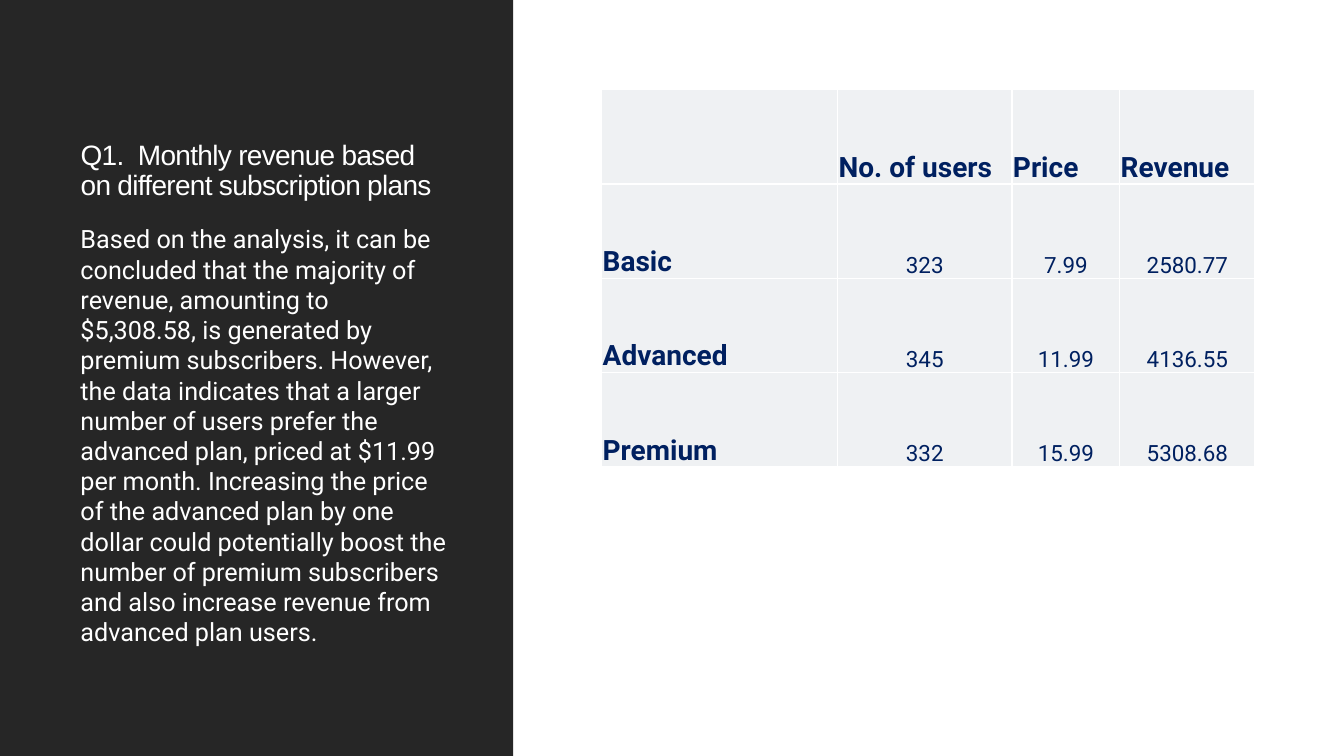
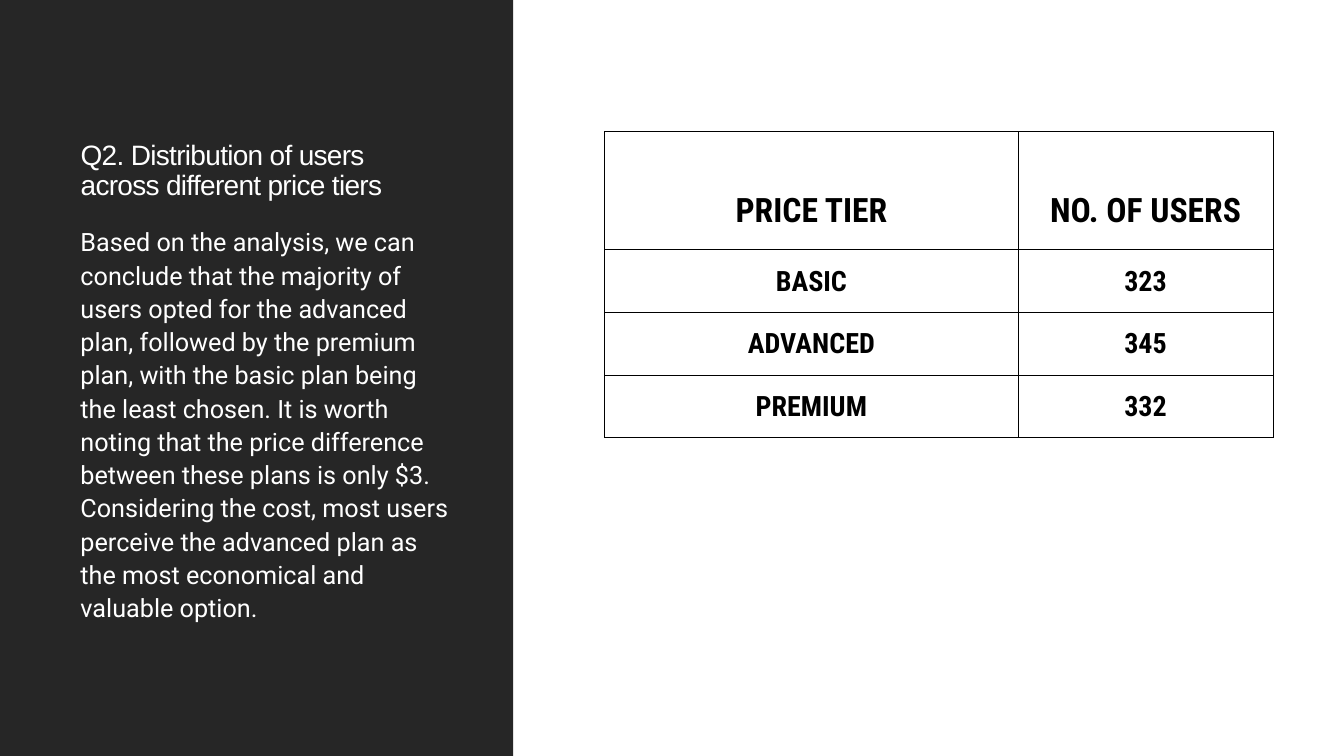
"""Build two slides on subscription plans, each with a side panel and a table."""
from dataclasses import dataclass

from lxml.etree import SubElement as Sub
from pptx import Presentation
from pptx.dml.color import RGBColor as RGB
from pptx.enum.shapes import MSO_SHAPE as Shape
from pptx.enum.text import MSO_ANCHOR as Anchor, MSO_AUTO_SIZE as Fit, PP_ALIGN as Align
from pptx.oxml.ns import qn
from pptx.util import Pt


@dataclass(frozen=True)
class Theme:
    panel: RGB = RGB.from_string("262626")
    white: RGB = RGB.from_string("FFFFFF")
    black: RGB = RGB.from_string("000000")
    navy: RGB = RGB.from_string("002060")
    pale: RGB = RGB.from_string("EFF1F3")
    title: int = 20
    body: int = 18
    head: int = 24
    label: int = 20
    value: int = 16


theme = Theme()


def style(para, size, face, color, bold=False, align=Align.LEFT, space=1.0):
    """Format one paragraph and its runs."""
    para.alignment = align
    para.line_spacing = space
    for font in [para.font] + [run.font for run in para.runs]:
        for key, val in dict(size=Pt(size), name=face, bold=bold).items():
            setattr(font, key, val)
        font.color.rgb = color


def border(cell, color, width):
    """Draw all four sides of a table cell."""
    props = cell._tc.get_or_add_tcPr()
    for side in ("a:lnL", "a:lnR", "a:lnT", "a:lnB"):
        line = Sub(props, qn(side), w=str(Pt(width)))
        fill = Sub(line, qn("a:solidFill"))
        Sub(fill, qn("a:srgbClr"), val=str(color))


pages = [
    dict(
        title="Q1.  Monthly revenue based on different subscription plans",
        body="Based on the analysis, it can be concluded that the majority of "
             "revenue, amounting to $5,308.58, is generated by premium subscribers. "
             "However, the data indicates that a larger number of users prefer the "
             "advanced plan, priced at $11.99 per month. Increasing the price of the "
             "advanced plan by one dollar could potentially boost the number of "
             "premium subscribers and also increase revenue from advanced plan users.",
        space=1.0,
        at=(429.8, 64.1),
        cols=[168.5, 124.6, 77, 96.5],
        rows=[67.4] * 4,
        data=[["", "No. of users", "Price", "Revenue"],
              ["Basic", "323", "7.99", "2580.77"],
              ["Advanced", "345", "11.99", "4136.55"],
              ["Premium", "332", "15.99", "5308.68"]],
        anchor=Anchor.BOTTOM, fill=theme.pale, edge=(theme.white, 1),
        head=dict(size=theme.label, face="Roboto", color=theme.navy, bold=True),
        label=dict(size=theme.label, face="Roboto", color=theme.navy, bold=True),
        value=dict(size=theme.value, face="Roboto", color=theme.navy,
                   align=Align.CENTER),
    ),
    dict(
        title="Q2. Distribution of users across different price tiers",
        body="Based on the analysis, we can conclude that the majority of users "
             "opted for the advanced plan, followed by the premium plan, with the "
             "basic plan being the least chosen. It is worth noting that the price "
             "difference between these plans is only $3. Considering the cost, most "
             "users perceive the advanced plan as the most economical and valuable "
             "option.",
        space=1.1,
        at=(432, 94),
        cols=[295.2, 182.2],
        rows=[84.4] + [44.7] * 3,
        data=[["PRICE TIER", "NO. OF USERS"],
              ["BASIC", "323"],
              ["ADVANCED", "345"],
              ["PREMIUM", "332"]],
        anchor=Anchor.MIDDLE, fill=None, edge=(theme.black, 0.5),
        head=dict(size=theme.head, face="Roboto Condensed", color=theme.black,
                  bold=True, align=Align.CENTER, space=2.0),
        label=dict(size=theme.label, face="Roboto Condensed", color=theme.black,
                   bold=True, align=Align.CENTER),
        value=dict(size=theme.label, face="Roboto Condensed", color=theme.black,
                   bold=True, align=Align.CENTER),
    ),
]

deck = Presentation()
deck.slide_width, deck.slide_height = Pt(960), Pt(540)
layout = deck.slide_layouts[5]
slides = [deck.slides.add_slide(layout) for page in pages]

panel = slides[0].shapes.add_shape(Shape.RECTANGLE, 0, 0, Pt(366.5), Pt(540))
panel.shadow.inherit = False
panel.fill.solid()
panel.fill.fore_color.rgb = theme.panel
panel.line.fill.background()
layout.shapes.element.insert(2, panel.element)

for slide, page in zip(slides, pages):
    title = slide.shapes.title
    place = dict(left=50.4, top=61.9, width=277.2, height=85.7)
    for key, val in place.items():
        setattr(title, key, Pt(val))
    title.text = page["title"]
    frame = title.text_frame
    for key, val in dict(word_wrap=True, auto_size=Fit.NONE,
                         vertical_anchor=Anchor.BOTTOM).items():
        setattr(frame, key, val)
    style(frame.paragraphs[0], theme.title, "Arial", theme.white, space=0.9)
    for props in title.element.iter(qn("a:rPr")):
        props.set("spc", "-50")

    body = slide.shapes.add_textbox(Pt(50.4), Pt(156.2), Pt(277.2), Pt(324.7))
    frame = body.text_frame
    frame.word_wrap = True
    frame.text = page["body"]
    para = frame.paragraphs[0]
    para.space_after = Pt(2)
    style(para, theme.body, "Roboto", theme.white, space=page["space"])

    cols, rows = page["cols"], page["rows"]
    left, top = page["at"]
    table = slide.shapes.add_table(len(rows), len(cols), Pt(left), Pt(top),
                                   Pt(sum(cols)), Pt(sum(rows))).table
    table.first_row = table.horz_banding = False
    for col, width in zip(table.columns, cols):
        col.width = Pt(width)
    for row, height in zip(table.rows, rows):
        row.height = Pt(height)
    for r, line in enumerate(page["data"]):
        for c, text in enumerate(line):
            cell = table.cell(r, c)
            cell.text = text
            for key, val in dict(margin_left=Pt(0.7), margin_right=Pt(0.7),
                                 margin_top=Pt(0.7), margin_bottom=0,
                                 vertical_anchor=page["anchor"]).items():
                setattr(cell, key, val)
            border(cell, *page["edge"])
            if page["fill"]:
                cell.fill.solid()
                cell.fill.fore_color.rgb = page["fill"]
            else:
                cell.fill.background()
            kind = "head" if r == 0 else "label" if c == 0 else "value"
            style(cell.text_frame.paragraphs[0], **page[kind])

deck.save("out.pptx")
